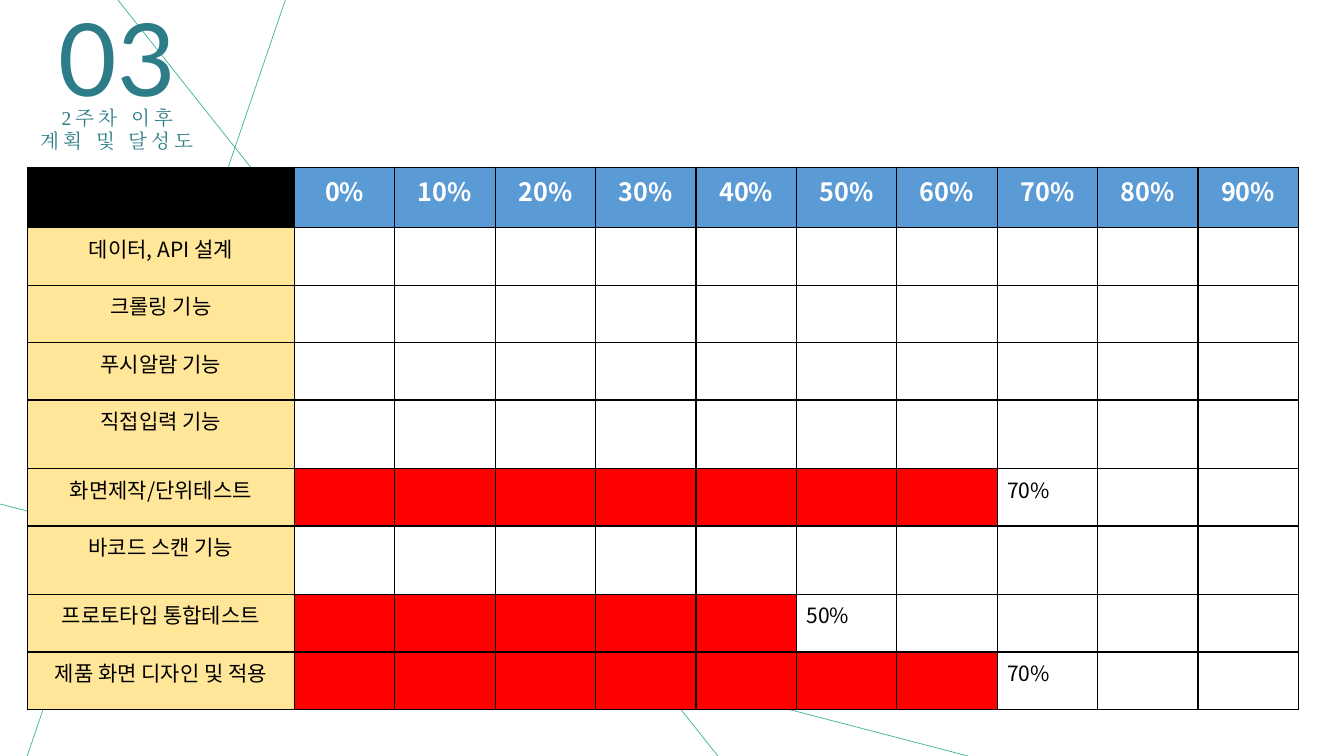
from lxml import etree
from pptx import Presentation
from pptx.dml.color import RGBColor
from pptx.enum import shapes, text
from pptx.oxml import ns
from pptx.util import Inches, Pt

COLORS = {
    "line": "3DB692", "title": "2C7D88", "header": "5B9BD5", "task": "FFE699",
    "done": "FF0000", "white": "FFFFFF", "black": "000000",
}
TABLE_FONT = "Noto Sans CJK KR"


def write(paragraph, words, size, font_name, color, align, bold=False, spacing=0):
    paragraph.text = words
    paragraph.alignment = align
    font = paragraph.font
    font.size, font.bold, font.name = Pt(size), bold, font_name
    font.color.rgb = RGBColor.from_string(COLORS[color])
    properties = font._element
    etree.SubElement(properties, ns.qn("a:ea"), typeface=font_name)
    if spacing:
        properties.set("spc", str(spacing * 100))


def paint(cell, color):
    cell.fill.solid()
    cell.fill.fore_color.rgb = RGBColor.from_string(COLORS[color])
    properties = cell._tc.get_or_add_tcPr()
    for index, side in enumerate(("lnL", "lnR", "lnT", "lnB")):
        border = etree.Element(ns.qn(f"a:{side}"), w=str(Pt(1)))
        fill = etree.SubElement(border, ns.qn("a:solidFill"))
        etree.SubElement(fill, ns.qn("a:srgbClr"), val=COLORS["black"])
        properties.insert(index, border)


presentation = Presentation()
presentation.slide_width, presentation.slide_height = Inches(13.33), Inches(7.5)
slide = presentation.slides.add_slide(presentation.slide_layouts[6])
center, left = text.PP_ALIGN.CENTER, text.PP_ALIGN.LEFT

# Background lines
for ends in ((0.27, 7.5, 2.83, 0), (7.12, 7.5, 1.17, 0), (0, 5, 9.6, 7.5)):
    line = slide.shapes.add_connector(
        shapes.MSO_CONNECTOR.STRAIGHT, *(Inches(end) for end in ends))
    line.line.color.rgb = RGBColor.from_string(COLORS["line"])
    line.line.width = Pt(0.5)
    etree.SubElement(line._element.spPr, ns.qn("a:effectLst"))

# Section number and title
headings = (
    ((0.23, -0.09, 1.87, 1.31), ["03"], 72, "Lato", 0),
    ((-0.35, 1, 3.03, 0.57), ["2주차 이후", "계획 및 달성도"], 14, "Times New Roman", 3),
)
for place, lines, size, font_name, spacing in headings:
    frame = slide.shapes.add_textbox(*(Inches(length) for length in place)).text_frame
    frame.word_wrap = True
    for index, words in enumerate(lines):
        paragraph = frame.add_paragraph() if index else frame.paragraphs[0]
        write(paragraph, words, size, font_name, "title", center, spacing=spacing)

# Progress table: task, row height, finished tenths
tasks = (
    ("데이터, API 설계", 0.57, 0),
    ("크롤링 기능", 0.57, 0),
    ("푸시알람 기능", 0.57, 0),
    ("직접입력 기능", 0.68, 0),
    ("화면제작/단위테스트", 0.57, 7),
    ("바코드 스캔 기능", 0.68, 0),
    ("프로토타입 통합테스트", 0.57, 5),
    ("제품 화면 디자인 및 적용", 0.57, 7),
)
steps = 10
table = slide.shapes.add_table(
    len(tasks) + 1, steps + 1,
    Inches(0.27), Inches(1.66), Inches(12.61), Inches(5.36)).table
table.columns[0].width = Inches(2.65)
table.rows[0].height = Inches(0.6)

# Header row
paint(table.cell(0, 0), "black")
for step in range(steps):
    table.columns[step + 1].width = Inches((12.61 - 2.65) / steps)
    cell = table.cell(0, step + 1)
    paint(cell, "header")
    write(cell.text_frame.paragraphs[0], f"{step * 10}%", 18, TABLE_FONT,
          "white", center, bold=True)

# Task rows, with the percentage after the last finished cell
for row, (task, height, done) in enumerate(tasks, start=1):
    table.rows[row].height = Inches(height)
    cell = table.cell(row, 0)
    paint(cell, "task")
    write(cell.text_frame.paragraphs[0], task, 15, TABLE_FONT, "black", center)
    for step in range(steps):
        cell = table.cell(row, step + 1)
        paint(cell, "done" if step < done else "white")
        if done and step == done:
            write(cell.text_frame.paragraphs[0], f"{done * 10}%", 15, TABLE_FONT,
                  "black", left)

presentation.save("out.pptx")
